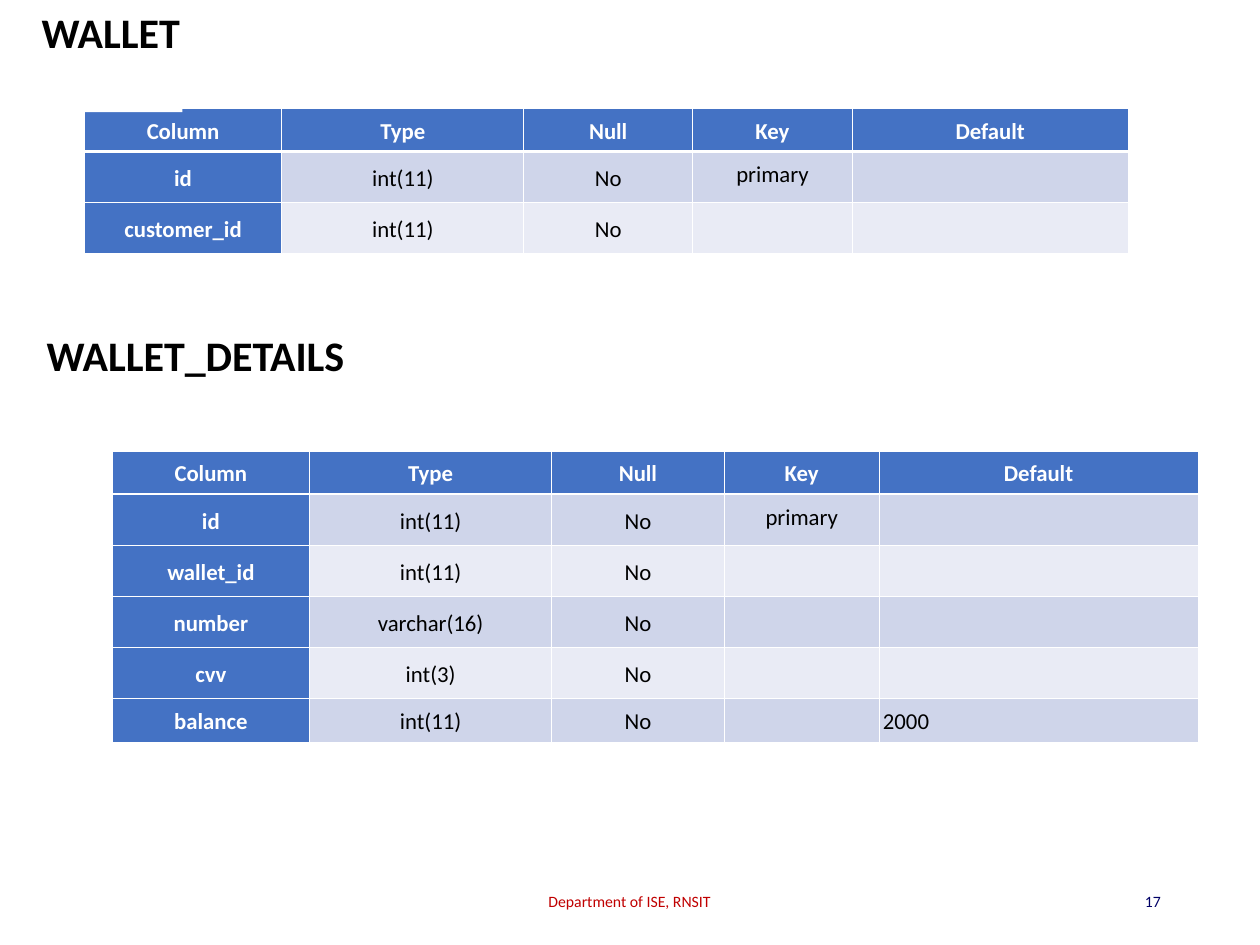
from lxml import etree
from pptx import Presentation
from pptx import util as u
from pptx.dml.color import RGBColor
from pptx.enum import shapes, text
from pptx.oxml import ns

HUES = {"white": "FFFFFF", "black": "000000", "blue": "4472C4", "odd": "CFD5EA",
        "even": "E9EBF5", "red": "C00000", "navy": "000066"}
FONT = "Calibri"
ALIGN, ANCHOR = text.PP_ALIGN, text.MSO_ANCHOR


def write(para, words, size, hue, bold=False):
    run = para.add_run()
    run.text = words
    run.font.name, run.font.size, run.font.bold = FONT, u.Pt(size), bold
    run.font.color.rgb = RGBColor.from_string(HUES[hue])


def edge(cell, side, width):
    """Draw a white border on one side (L, R, T or B) of a table cell."""
    props = cell._tc.get_or_add_tcPr()
    line = etree.SubElement(props, ns.qn(f"a:ln{side}"), w=str(u.Pt(width)))
    fill = etree.SubElement(line, ns.qn("a:solidFill"))
    etree.SubElement(fill, ns.qn("a:srgbClr"), val=HUES["white"])


deck = Presentation()
deck.slide_width, deck.slide_height = u.Cm(25.4), u.Cm(19.05)
slide = deck.slides.add_slide(deck.slide_layouts[6])

HEAD = ["Column", "Type", "Null", "Key", "Default"]
ROW = u.Cm(0.81)
# Each entry: heading (text, box), table corner, column widths, rows
TABLES = [
    ("WALLET", (0.84, 0.13, 2.84, 2.13), (1.7, 2.18),
     [3.98, 4.88, 3.4, 3.22, 5.56],
     [["id", "int(11)", "No", "primary", ""],
      ["customer_id", "int(11)", "No", "", ""]]),
    ("WALLET_DETAILS", (0.94, 6.65, 6.15, 2.13), (2.26, 9.09),
     [3.98, 4.88, 3.48, 3.12, 6.43],
     [["id", "int(11)", "No", "primary", ""],
      ["wallet_id", "int(11)", "No", "", ""],
      ["number", "varchar(16)", "No", "", ""],
      ["cvv", "int(3)", "No", "", ""],
      ["balance", "int(11)", "No", "", "2000"]]),
]

for title, box, (left, top), widths, body in TABLES:
    rows = [HEAD] + body
    grid = slide.shapes.add_table(len(rows), len(HEAD), u.Cm(left), u.Cm(top),
                                  u.Cm(sum(widths)), ROW * len(rows)).table
    for col, width in zip(grid.columns, widths):
        col.width = u.Cm(width)
    for r, row in enumerate(rows):
        grid.rows[r].height = ROW
        for c, words in enumerate(row):
            cell = grid.cell(r, c)
            for side in "LRTB":
                thick = (r, side) in ((0, "B"), (1, "T"))
                edge(cell, side, 1.47 if thick else 0.45)
            dark = r == 0 or c == 0
            cell.fill.solid()
            cell.fill.fore_color.rgb = RGBColor.from_string(
                HUES["blue" if dark else "odd" if r % 2 else "even"])
            para = cell.text_frame.paragraphs[0]
            if words:
                key = c == 3
                cell.margin_left = cell.margin_right = u.Cm(0.03 if key else 0.08)
                cell.vertical_anchor = ANCHOR.TOP if key else ANCHOR.MIDDLE
                para.alignment = ALIGN.JUSTIFY if words == "2000" else ALIGN.CENTER
                para.line_spacing, para.space_after = 1.11, u.Pt(0.3)
                write(para, words, 13, "white" if dark else "black", dark)
            elif row[-1]:
                # A small end mark keeps an empty cell from stretching its row
                etree.SubElement(para._p, ns.qn("a:endParaRPr"), sz="1300")

    label = slide.shapes.add_shape(shapes.MSO_SHAPE.RECTANGLE, *map(u.Cm, box))
    label.shadow.inherit = False
    label.fill.solid()
    label.fill.fore_color.rgb = RGBColor.from_string(HUES["white"])
    label.line.fill.background()
    frame = label.text_frame
    frame.word_wrap = False
    frame.vertical_anchor = ANCHOR.TOP
    frame.margin_left = frame.margin_top = frame.margin_right = 0
    frame.margin_bottom = u.Cm(0.1)
    frame.paragraphs[0].alignment = ALIGN.LEFT
    write(frame.paragraphs[0], title, 24, "black", True)

for words, left, width, align, hue in [
        ("Department of ISE, RNSIT", 8.41, 8.56, ALIGN.CENTER, "red"),
        ("17", 17.93, 5.72, ALIGN.RIGHT, "navy")]:
    frame = slide.shapes.add_textbox(u.Cm(left), u.Cm(17.65),
                                     u.Cm(width), u.Cm(1.02)).text_frame
    frame.word_wrap = True
    frame.vertical_anchor = ANCHOR.MIDDLE
    frame.paragraphs[0].alignment = align
    write(frame.paragraphs[0], words, 9, hue)

deck.save("out.pptx")
